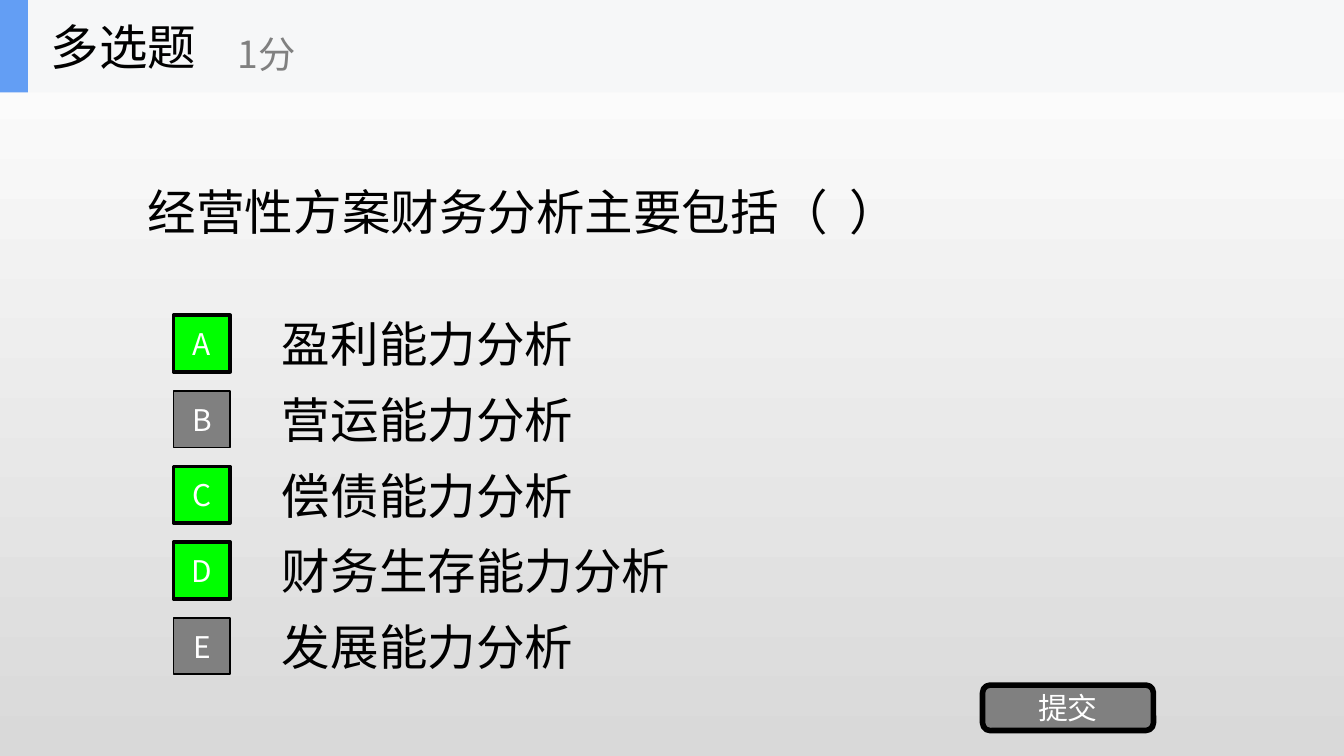
from pptx import Presentation
from pptx.dml.color import RGBColor
from pptx.enum.shapes import MSO_SHAPE
from pptx.enum.text import MSO_ANCHOR, MSO_AUTO_SIZE, PP_ALIGN
from pptx.oxml.ns import qn
from pptx.util import Cm, Pt
from lxml.etree import SubElement

KIND, SCORE = "多选题", "1分"
QUESTION = "经营性方案财务分析主要包括（  ）"
OPTIONS = [  # letter, wording, is a correct answer
    ("A", "盈利能力分析", True),
    ("B", "营运能力分析", False),
    ("C", "偿债能力分析", True),
    ("D", "财务生存能力分析", True),
    ("E", "发展能力分析", False),
]
SUBMIT = "提交"

THEME = {
    "font": "Noto Sans CJK SC",
    "text": "000000", "light": "FFFFFF", "muted": "808080",
    "correct": "00FF00", "band": "F6F7F8", "accent": "639EF4",
    "bg": ("FFFFFF", "D9D9D9"),
    "large": 26, "medium": 20, "small": 16,
}
SLIDE_W, SLIDE_H, BAND_H = 25.4, 14.29, 1.75
ROW_TOP, ROW_H, ROW_PITCH = 5.82, 1.35, 1.43
BADGE = 1.07


def rgb(name):
    return RGBColor.from_string(THEME[name])


def write(shape, text, size="large", color="text", align=PP_ALIGN.LEFT):
    tf = shape.text_frame
    frame_format = {"word_wrap": True, "auto_size": MSO_AUTO_SIZE.NONE,
                    "vertical_anchor": MSO_ANCHOR.MIDDLE}
    for key, value in frame_format.items():
        setattr(tf, key, value)
    p = tf.paragraphs[0]
    p.alignment = align
    r = p.add_run()
    r.text = text
    for key, value in {"name": THEME["font"], "size": Pt(THEME[size])}.items():
        setattr(r.font, key, value)
    r.font.color.rgb = rgb(color)
    SubElement(r.font._element, qn("a:ea"), typeface=THEME["font"])


def add_text(shapes, box, text, **style):
    write(shapes.add_textbox(*map(Cm, box)), text, **style)


def add_block(shapes, box, fill, line=0, text="", kind=MSO_SHAPE.RECTANGLE):
    sp = shapes.add_shape(kind, *map(Cm, box))
    sp.shadow.inherit = False
    sp.fill.solid()
    sp.fill.fore_color.rgb = rgb(fill)
    if line:
        sp.line.color.rgb = rgb("text")
        sp.line.width = Pt(line)
    else:
        sp.line.fill.background()
    if text:
        write(sp, text, "small", "light", PP_ALIGN.CENTER)


def set_background(s):
    fill = s.background.fill
    fill.gradient()
    fill.gradient_angle = 270
    for i, (stop, color) in enumerate(zip(fill.gradient_stops, THEME["bg"])):
        stop.position = i
        stop.color.rgb = RGBColor.from_string(color)


def add_header(s):
    shapes = s.shapes.add_group_shape().shapes
    add_block(shapes, (0, 0, SLIDE_W, BAND_H), "band")
    add_block(shapes, (0, 0, 0.53, BAND_H), "accent")
    add_text(shapes, (0.71, 0, 5.28, BAND_H), KIND)
    add_text(shapes, (4.24, 0.3, 6.35, 1.42), SCORE, size="medium", color="muted")


def add_question(s):
    title = s.shapes.title
    box = {"left": 2.54, "top": BAND_H, "width": 20.32, "height": 4.47}
    for key, value in box.items():
        setattr(title, key, Cm(value))
    write(title, QUESTION)


def add_options(s):
    for i, (letter, wording, correct) in enumerate(OPTIONS):
        top = ROW_TOP + i * ROW_PITCH
        add_text(s.shapes, (5.08, top, 17.78, ROW_H), wording)
        add_block(s.shapes, (3.28, top + (ROW_H - BADGE) / 2, BADGE, BADGE),
                  "correct" if correct else "muted", 2 if correct else 1, letter)


def main():
    prs = Presentation()
    prs.slide_width, prs.slide_height = Cm(SLIDE_W), Cm(SLIDE_H)
    s = prs.slides.add_slide(prs.slide_layouts[5])
    set_background(s)
    add_question(s)
    add_options(s)
    add_block(s.shapes, (18.57, 12.95, 3.23, 0.86), "muted", 3, SUBMIT,
              MSO_SHAPE.ROUNDED_RECTANGLE)
    add_header(s)
    prs.save("out.pptx")


if __name__ == "__main__":
    main()
